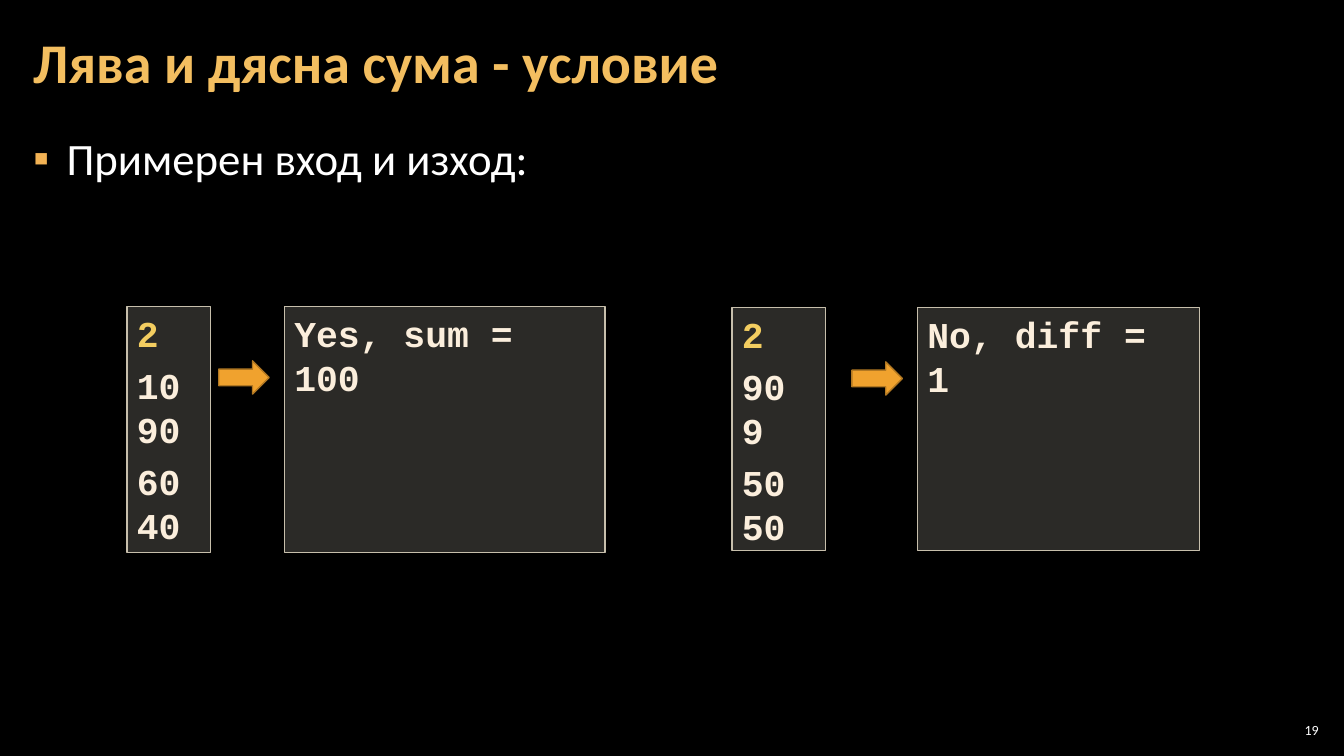
from lxml import etree
from pptx import Presentation
from pptx.dml.color import RGBColor
from pptx.enum.shapes import MSO_SHAPE as Preset
from pptx.enum.text import MSO_ANCHOR as Anchor, PP_ALIGN as Align
from pptx.oxml.ns import qn
from pptx.util import Inches, Pt

TITLE = "Лява и дясна сума - условие"
BULLET = "Примерен вход и изход:"
PAGE_NUMBER = "19"
COLORS = {
    "background": "000000", "text": "FFFFFF", "title": "F3BE60",
    "bullet": "F2B254", "count": "F3CD60", "code": "FBEEDC",
    "panel": "D9D5C7", "panel_line": "C7BFAC",
    "arrow": "F0A22E", "arrow_line": "B27822",
}
EXAMPLES = [
    {"count": "2", "groups": [["10", "90"], ["60", "40"]], "result": "Yes, sum = 100",
     "top": 3.04, "height": 2.44, "input": (1.26, 0.83), "output": (2.82, 3.18), "arrow": 2.17},
    {"count": "2", "groups": [["90", "9"], ["50", "50"]], "result": "No, diff = 1",
     "top": 3.05, "height": 2.41, "input": (7.26, 0.93), "output": (9.1, 2.8), "arrow": 8.45},
]
ARROW_DROP, ARROW_WIDTH, ARROW_HEIGHT = 0.54, 0.5, 0.33
PANEL_OPACITY = 20


def rgb(name):
    return RGBColor.from_string(COLORS[name])


def add_span(para, text, size, color, font="Calibri", bold=False):
    span = para.add_run()
    span.text = text
    span.font.size = Pt(size)
    span.font.name = font
    span.font.bold = bold
    span.font.color.rgb = rgb(color)


def add_label(page, area, side_inset, anchor):
    box = page.shapes.add_textbox(*map(Inches, area))
    frame = box.text_frame
    frame.word_wrap = True
    frame.vertical_anchor = anchor
    frame.margin_left = frame.margin_right = Inches(side_inset)
    frame.margin_top = frame.margin_bottom = Inches(0.04)
    return frame.paragraphs[0]


def add_bullet(para, symbol, color):
    props = para._p.get_or_add_pPr()
    props.set("marL", str(Inches(0.33)))
    props.set("indent", str(-Inches(0.33)))
    bullet_color = etree.SubElement(props, qn("a:buClr"))
    etree.SubElement(bullet_color, qn("a:srgbClr"), val=COLORS[color])
    etree.SubElement(props, qn("a:buFont"), typeface="Calibri")
    etree.SubElement(props, qn("a:buChar"), char=symbol)


def add_block(page, preset, area, fill, line):
    block = page.shapes.add_shape(preset, *map(Inches, area))
    block.shadow.inherit = False
    block.fill.solid()
    block.fill.fore_color.rgb = rgb(fill)
    block.line.color.rgb = rgb(line)
    block.line.width = Pt(1)
    return block


def add_panel(page, area, lines):
    panel = add_block(page, Preset.RECTANGLE, area, "panel", "panel_line")
    fill_color = panel._element.spPr.find(qn("a:solidFill")).find(qn("a:srgbClr"))
    etree.SubElement(fill_color, qn("a:alpha"), val=str(PANEL_OPACITY * 1000))
    frame = panel.text_frame
    frame.word_wrap = True
    frame.vertical_anchor = Anchor.TOP
    for index, (text, color, space) in enumerate(lines):
        para = frame.add_paragraph() if index else frame.paragraphs[0]
        para.alignment = Align.LEFT
        para.space_before = Pt(space)
        add_span(para, text, 26, color, "Courier New", True)


def add_example(page, example):
    top, height = example["top"], example["height"]
    lines = [(example["count"], "count", 0)]
    for group in example["groups"]:
        lines += [(number, "code", 0 if row else 6) for row, number in enumerate(group)]
    results = [(example["result"], "code", 0)]
    for side, content in (("input", lines), ("output", results)):
        left, width = example[side]
        add_panel(page, (left, top, width, height), content)
    arrow_area = (example["arrow"], top + ARROW_DROP, ARROW_WIDTH, ARROW_HEIGHT)
    add_block(page, Preset.RIGHT_ARROW, arrow_area, "arrow", "arrow_line")


def main():
    deck = Presentation()
    deck.slide_width, deck.slide_height = Inches(13.33), Inches(7.5)
    page = deck.slides.add_slide(deck.slide_layouts[6])
    page.background.fill.solid()
    page.background.fill.fore_color.rgb = rgb("background")

    number = add_label(page, (12.65, 7.14, 0.47, 0.21), 0.04, Anchor.MIDDLE)
    number.alignment = Align.RIGHT
    add_span(number, PAGE_NUMBER, 10, "text")

    body = add_label(page, (0.21, 1.26, 12.91, 6.09), 0.12, Anchor.TOP)
    body.space_before = body.space_after = Pt(6)
    add_bullet(body, "▪", "bullet")
    add_span(body, BULLET, 32, "text")

    title = add_label(page, (0.21, 0.04, 10.47, 1.21), 0.12, Anchor.MIDDLE)
    title.line_spacing = 0.9
    add_span(title, TITLE, 40, "title", bold=True)

    for example in EXAMPLES:
        add_example(page, example)
    deck.save("out.pptx")


if __name__ == "__main__":
    main()
